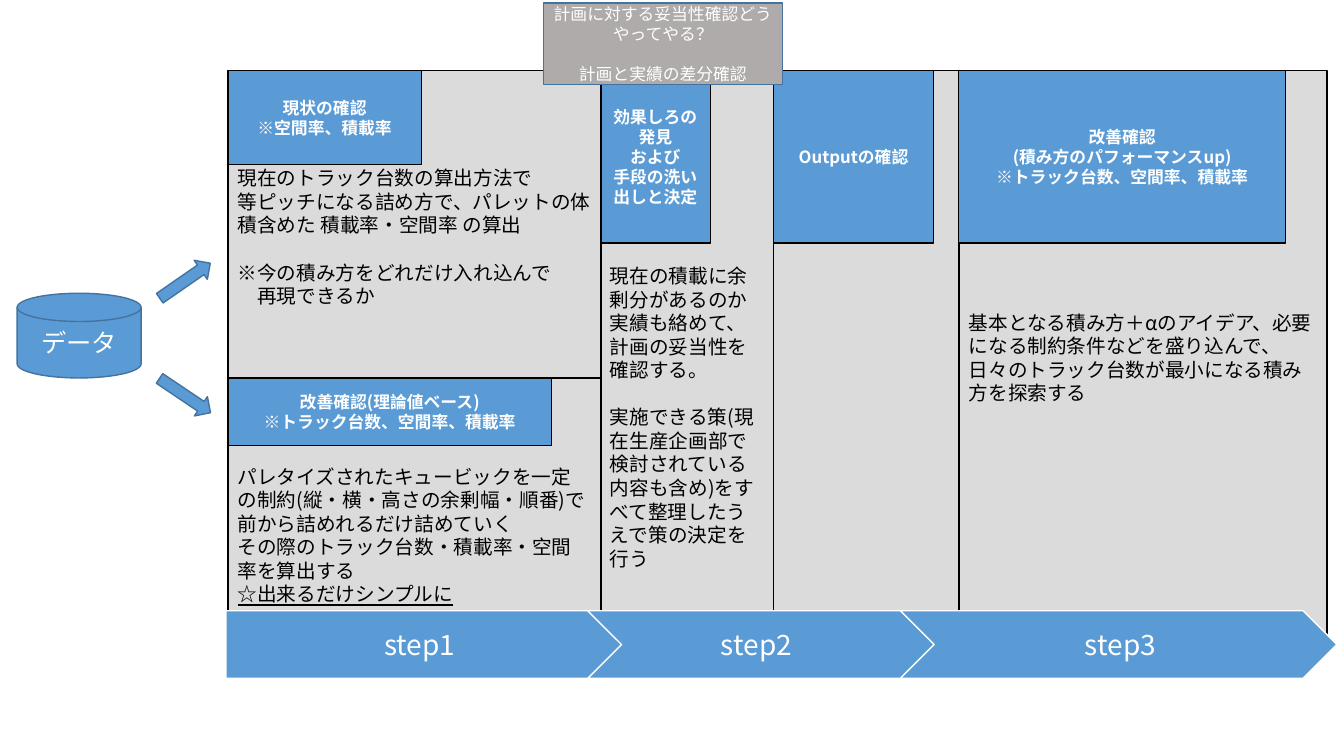
from lxml.etree import SubElement
from pptx import Presentation
from pptx.dml.color import RGBColor
from pptx.enum.shapes import MSO_SHAPE
from pptx.enum.text import MSO_ANCHOR, PP_ALIGN
from pptx.oxml.ns import qn
from pptx.util import Pt

PX = 9144  # 100 px to the inch
FONT = "Noto Sans CJK JP"
LINE_RATIO = 1.2

BLUE = RGBColor(0x5B, 0x9B, 0xD5)
DARK_BLUE = RGBColor(0x43, 0x73, 0x9E)
PANEL_GREY = RGBColor(0xDB, 0xDB, 0xDB)
NOTE_GREY = RGBColor(0xAF, 0xAB, 0xAB)
BLACK = RGBColor(0, 0, 0)
WHITE = RGBColor(0xFF, 0xFF, 0xFF)

BODY = {"size": Pt(14), "color": BLACK}
HEADER = {"size": Pt(12), "color": WHITE, "bold": True}
NOTE = {"size": Pt(12), "color": WHITE}
DATA = {"size": Pt(18), "color": WHITE}
STEP = {"size": Pt(20), "color": WHITE}

# Paragraph options: "gap" = one line before, "indent" = one character in
PANELS = [
    {"box": (595, 70, 172, 570), "header_size": (110, 171),
     "header": ["効果しろの発見", "および", "手段の洗い出しと決定"],
     "body": [("現在の積載に余剰分があるのか実績も絡めて、計画の妥当性を確認する。", ""),
              ("実施できる策(現在生産企画部で検討されている内容も含め)をすべて整理したうえで策の決定を行う", "gap")],
     "body_top": 192},
    {"box": (226, 70, 370, 305), "header_size": (192, 93),
     "header": ["現状の確認", "※空間率、積載率"],
     "body": [("現在のトラック台数の算出方法で", ""),
              ("等ピッチになる詰め方で、パレットの体積含めた 積載率・空間率 の算出", ""),
              ("※今の積み方をどれだけ入れ込んで", "gap"),
              ("再現できるか", "indent")],
     "body_top": 95},
    {"box": (226, 375, 370, 266), "header_size": (321, 67),
     "header": ["改善確認(理論値ベース)", "※トラック台数、空間率、積載率"],
     "body": [("パレタイズされたキュービックを一定の制約(縦・横・高さの余剰幅・順番)で前から詰めれるだけ詰めていく", ""),
              ("その際のトラック台数・積載率・空間率を算出する", ""),
              ("☆出来るだけシンプルに", "underline")],
     "body_top": 86},
    {"box": (951, 70, 365, 570), "header_size": (324, 171),
     "header": ["改善確認", "(積み方のパフォーマンスup)", "※トラック台数、空間率、積載率"],
     "body": [("基本となる積み方＋αのアイデア、必要になる制約条件などを盛り込んで、日々のトラック台数が最小になる積み方を探索する", "")],
     "body_top": None},
    {"box": (767, 70, 184, 570), "header_size": (159, 171),
     "header": ["Outputの確認"], "body": [], "body_top": None},
]

# Shape, its left and width, then the left edge of its label
STEPS = [
    ("step1", MSO_SHAPE.PENTAGON, 224, 562, 381),
    ("step2", MSO_SHAPE.CHEVRON, 583, 413, 715),
    ("step3", MSO_SHAPE.CHEVRON, 893, 433, 1076),
]


def scaled(box):
    return [value * PX for value in box]


def write(shape, paragraphs, style, align=PP_ALIGN.CENTER, top=None):
    """Fill a shape with (text, option) paragraphs; top sets a top anchor."""
    frame = shape.text_frame
    settings = {"word_wrap": True, "vertical_anchor": MSO_ANCHOR.MIDDLE}
    if top is not None:
        settings.update(vertical_anchor=MSO_ANCHOR.TOP, margin_top=top * PX)
    for name, value in settings.items():
        setattr(frame, name, value)
    line_height = Pt(round(style["size"].pt * LINE_RATIO, 1))
    for index, (text, option) in enumerate(paragraphs):
        paragraph = frame.paragraphs[0] if index == 0 else frame.add_paragraph()
        paragraph.alignment = align
        paragraph.line_spacing = line_height
        if option == "gap":
            paragraph.space_before = line_height
        if option == "indent":
            paragraph._p.get_or_add_pPr().set("marL", str(style["size"]))
        run = paragraph.add_run()
        run.text = text
        font_values = {"name": FONT, "size": style["size"], "bold": style.get("bold", False),
                       "underline": option == "underline"}
        for name, value in font_values.items():
            setattr(run.font, name, value)
        run.font.color.rgb = style["color"]
        SubElement(run._r.get_or_add_rPr(), qn("a:ea")).set("typeface", FONT)


def add_block(slide, kind, box, fill, line):
    shape = slide.shapes.add_shape(kind, *scaled(box))
    shape.shadow.inherit = False
    shape.fill.solid()
    shape.fill.fore_color.rgb = fill
    shape.line.color.rgb = line
    shape.line.width = Pt(1)
    return shape


def plain(lines):
    return [(line, "") for line in lines]


def add_panel(slide, panel):
    left, top, _, _ = panel["box"]
    body = add_block(slide, MSO_SHAPE.RECTANGLE, panel["box"], PANEL_GREY, BLACK)
    if panel["body"]:
        write(body, panel["body"], BODY, PP_ALIGN.LEFT, panel["body_top"])
    header = add_block(slide, MSO_SHAPE.RECTANGLE, (left, top, *panel["header_size"]), BLUE, BLACK)
    write(header, plain(panel["header"]), HEADER)


def add_data_source(slide, box):
    left, top, width, height = box
    disk = add_block(slide, MSO_SHAPE.FLOWCHART_MAGNETIC_DISK, box, BLUE, DARK_BLUE)
    write(disk, plain(["データ"]), DATA)
    # Arrows to the two panels of the first step
    for arrow_top, rotation in ((top - 24, 325.3), (top + height + 6, 33.9)):
        arrow = add_block(slide, MSO_SHAPE.RIGHT_ARROW,
                          (left + width + 13, arrow_top, 61, 23), BLUE, DARK_BLUE)
        arrow.rotation = rotation


def add_step_bar(slide, top, height):
    for name, kind, left, width, label_left in STEPS:
        add_block(slide, kind, (left, top, width, height), BLUE, WHITE)
        label = slide.shapes.add_textbox(*scaled((label_left, top, 160, height)))
        label.text_frame.margin_left = 0
        write(label, plain([name]), STEP, PP_ALIGN.LEFT)


def add_question(slide, box):
    note = add_block(slide, MSO_SHAPE.RECTANGLE, box, NOTE_GREY, DARK_BLUE)
    write(note, [("計画に対する妥当性確認どうやってやる？", ""), ("計画と実績の差分確認", "gap")], NOTE)


def main():
    presentation = Presentation()
    presentation.slide_width, presentation.slide_height = scaled((1333, 750))
    slide = presentation.slides.add_slide(presentation.slide_layouts[6])
    for panel in PANELS:
        add_panel(slide, panel)
    add_data_source(slide, (17, 291, 123, 84))
    add_step_bar(slide, 606, 67)
    add_question(slide, (539, 3, 237, 81))
    presentation.save("out.pptx")


if __name__ == "__main__":
    main()
